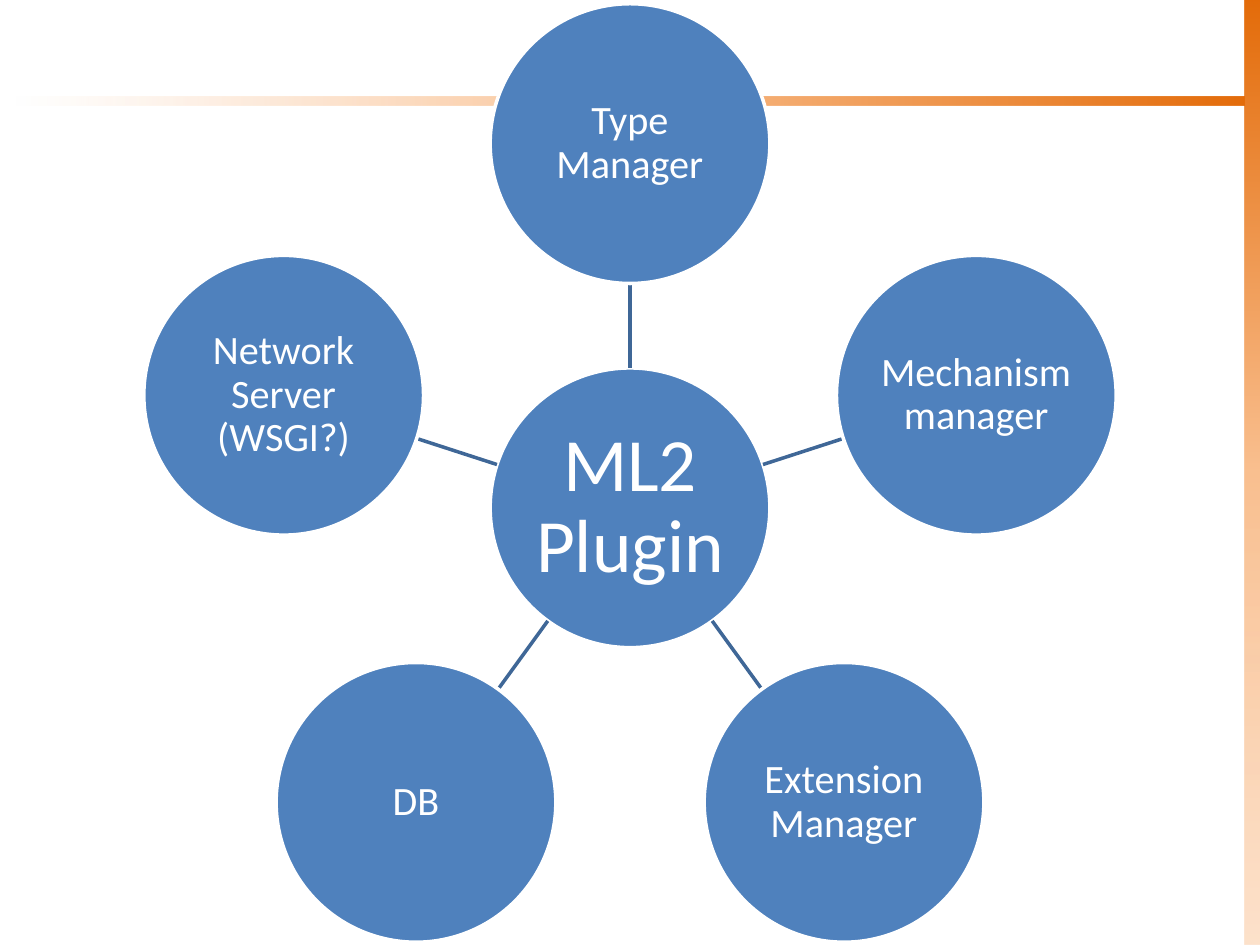
from dataclasses import dataclass
from math import cos, radians, sin

from lxml.etree import SubElement
from pptx import Presentation
from pptx.dml.color import RGBColor
from pptx.enum.shapes import MSO_CONNECTOR as Connector, MSO_SHAPE as Shape
from pptx.enum.text import MSO_ANCHOR as Anchor, PP_ALIGN as Align
from pptx.oxml.ns import qn
from pptx.util import Inches, Pt

WIDTH, HEIGHT = 10, 7.5
HUB_X, HUB_Y = WIDTH / 2, 4.03
ORBIT = 2.89
DIAMETER = 2.22
SPOKE_START, SPOKE_END = 1.11, 1.78
BLUE, DARK_BLUE, WHITE = "4F81BD", "3F6797", "FFFFFF"


@dataclass
class Stop:
    position: int
    color: str
    alpha: int = 100


@dataclass
class Bar:
    left: float
    top: float
    width: float
    height: float
    angle: int
    stops: list[Stop]


def rgb(color: str) -> RGBColor:
    return RGBColor.from_string(color)


def orbit_point(angle: float, radius: float) -> tuple[float, float]:
    """Point around the hub, with the angle clockwise from the top."""
    turn = radians(angle)
    return HUB_X + radius * sin(turn), HUB_Y - radius * cos(turn)


def draw_bar(page, bar: Bar) -> None:
    box = page.shapes.add_shape(Shape.RECTANGLE, *map(
        Inches, (bar.left, bar.top, bar.width, bar.height)))
    box.shadow.inherit = False
    box.line.fill.background()
    box.fill.gradient()
    box.fill.gradient_angle = -bar.angle % 360
    stop_list = box._element.spPr.find(qn("a:gradFill")).find(qn("a:gsLst"))
    for old in list(stop_list):
        stop_list.remove(old)
    for stop in bar.stops:
        item = SubElement(stop_list, qn("a:gs"), pos=str(stop.position * 1000))
        color = SubElement(item, qn("a:srgbClr"), val=stop.color)
        if stop.alpha < 100:
            SubElement(color, qn("a:alpha"), val=str(stop.alpha * 1000))


def write(box, text: str, *, size: float, inset: float, font: str = "Calibri",
          color: str = WHITE) -> None:
    frame = box.text_frame
    frame.word_wrap = True
    frame.vertical_anchor = Anchor.MIDDLE
    frame.margin_left = frame.margin_right = Inches(inset)
    frame.margin_top = frame.margin_bottom = Inches(inset)
    para = frame.paragraphs[0]
    para.alignment = Align.CENTER
    para.line_spacing = 0.9
    span = para.add_run()
    span.text = text
    span.font.name, span.font.size = font, Pt(size)
    span.font.color.rgb = rgb(color)


def draw_circle(page, center: tuple[float, float], text: str, *,
                size: float = 23, inset: float = 0.02) -> None:
    x, y = center
    box = page.shapes.add_shape(
        Shape.OVAL, Inches(x - DIAMETER / 2), Inches(y - DIAMETER / 2),
        Inches(DIAMETER), Inches(DIAMETER))
    box.shadow.inherit = False
    box.fill.solid()
    box.fill.fore_color.rgb = rgb(BLUE)
    box.line.color.rgb = rgb(WHITE)
    box.line.width = Pt(2)
    write(box, text, size=size, inset=inset)


def draw_spoke(page, angle: float) -> None:
    ends = orbit_point(angle, SPOKE_START) + orbit_point(angle, SPOKE_END)
    spoke = page.shapes.add_connector(Connector.STRAIGHT, *map(Inches, ends))
    spoke.line.color.rgb = rgb(DARK_BLUE)
    spoke.line.width = Pt(2)
    SubElement(spoke._element.spPr, qn("a:effectLst"))


def main() -> None:
    deck = Presentation()
    deck.slide_width, deck.slide_height = Inches(WIDTH), Inches(HEIGHT)
    page = deck.slides.add_slide(deck.slide_layouts[6])

    # Orange frame bars
    strong, middle = "E46C0A", Stop(50, "FAC090")
    draw_bar(page, Bar(9.88, 0, 0.12, HEIGHT, 90, [
        Stop(0, strong), middle, Stop(100, "FCD5B5", 69)]))
    draw_bar(page, Bar(0.12, 0.77, 9.76, 0.07, 0, [
        Stop(0, "FCD5B5", 0), middle, Stop(100, strong)]))

    # Hub and its evenly spaced satellites
    draw_circle(page, (HUB_X, HUB_Y), "ML2 Plugin", size=43, inset=0.03)
    satellites = ["Type Manager", "Mechanism manager", "Extension Manager",
                  "DB", "Network Server (WSGI?)"]
    for index, name in enumerate(satellites):
        angle = index * 360 / len(satellites)
        draw_spoke(page, angle)
        draw_circle(page, orbit_point(angle, ORBIT), name)

    deck.save("out.pptx")


if __name__ == "__main__":
    main()
